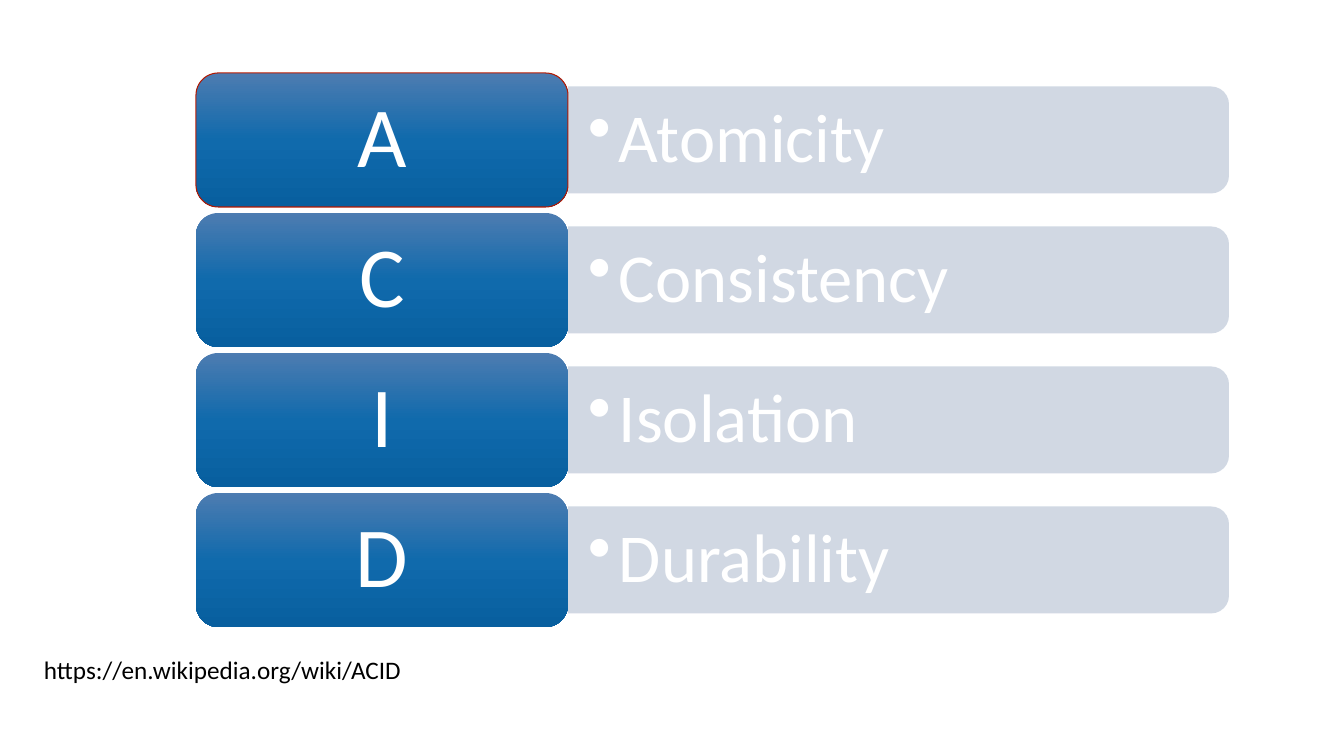
from lxml import etree
from pptx import Presentation
from pptx.dml.color import RGBColor
from pptx.enum.shapes import MSO_SHAPE
from pptx.enum.text import MSO_ANCHOR, PP_ALIGN
from pptx.oxml import parse_xml
from pptx.oxml.ns import nsdecls, qn
from pptx.util import Pt

# Content
TERMS = [("A", "Atomicity"), ("C", "Consistency"), ("I", "Isolation"), ("D", "Durability")]
LINK = "https://en.wikipedia.org/wiki/ACID"

# Style
FONT = "Calibri"
WHITE = RGBColor(0xFF, 0xFF, 0xFF)
BLACK = RGBColor(0, 0, 0)
PALE = RGBColor(0xCC, 0xD4, 0xE1)
RED = RGBColor(0xB4, 0x18, 0x00)
BLUES = [(0, RGBColor(0x4D, 0x7C, 0xB1)), (50, RGBColor(0x10, 0x6A, 0xAC)),
         (100, RGBColor(0x08, 0x5F, 0x9F))]
ROUND, TAB = MSO_SHAPE.ROUNDED_RECTANGLE, MSO_SHAPE.ROUND_2_SAME_RECTANGLE
MIDDLE, LEFT, CENTER = MSO_ANCHOR.MIDDLE, PP_ALIGN.LEFT, PP_ALIGN.CENTER

# Layout in px
CARD_X, CARD_Y, CARD_W, CARD_H = 196, 73, 372, 134
STEP = 140
BAR_W, BAR_H = 661, 107
WORD_W, WORD_H = 656, 97
INDENT = 31


def px(n):
    return round(n * 914400 / 100.8)


def fade(fill):
    for color in fill._xPr.iter(qn("a:srgbClr")):
        etree.SubElement(color, qn("a:alpha"), val="90000")


def blend(shape):
    stops = "".join(f'<a:gs pos="{at * 1000}"><a:srgbClr val="{color}"/></a:gs>'
                    for at, color in BLUES)
    grad = parse_xml(f'<a:gradFill {nsdecls("a")} rotWithShape="1"><a:gsLst>{stops}</a:gsLst>'
                     '<a:lin ang="5400000" scaled="0"/></a:gradFill>')
    shape._element.spPr.find(qn("a:prstGeom")).addnext(grad)


def write(shape, text, size, color, align=LEFT, inset=(10, 5), bullet=False):
    frame = shape.text_frame
    frame.text = text
    frame.vertical_anchor = MIDDLE
    frame.margin_left = frame.margin_right = px(inset[0])
    frame.margin_top = frame.margin_bottom = px(inset[1])
    para = frame.paragraphs[0]
    para.alignment = align
    if bullet:
        props = para._p.get_or_add_pPr()
        props.set("marL", str(px(INDENT)))
        props.set("indent", str(-px(INDENT)))
        etree.SubElement(props, qn("a:buChar"), char="•")
    para.line_spacing = 0.9
    font = para.runs[0].font
    font.name, font.size, font.color.rgb = FONT, Pt(size), color


def add_shape(kind, x, y, w, h):
    shape = shapes.add_shape(kind, px(x), px(y), px(w), px(h))
    shape.shadow.inherit = False
    shape.line.fill.background()
    return shape


deck = Presentation()
deck.slide_width, deck.slide_height = px(1344), px(756)
shapes = deck.slides.add_slide(deck.slide_layouts[6]).shapes

# Source link
link = shapes.add_textbox(px(34), px(651), px(382), px(40))
write(link, LINK, 18, BLACK)
link.text_frame.word_wrap = False

# One row per term: bar, word, letter card
for row, (letter, word) in enumerate(TERMS):
    top = CARD_Y + row * STEP
    mid = top + CARD_H / 2
    edge = CARD_X + CARD_W

    # The bar is a tab turned so that its round end points right
    bar = add_shape(TAB, edge + (BAR_W - BAR_H) / 2, mid - BAR_W / 2, BAR_H, BAR_W)
    bar.rotation = 90
    bar.fill.solid()
    bar.fill.fore_color.rgb = PALE
    fade(bar.fill)

    label = shapes.add_textbox(px(edge), px(mid - WORD_H / 2), px(WORD_W), px(WORD_H))
    label.text_frame.word_wrap = True
    write(label, word, 49, WHITE, inset=(20, 10), bullet=True)

    card = add_shape(ROUND, CARD_X, top, CARD_W, CARD_H)
    blend(card)
    write(card, letter, 61, WHITE, CENTER, inset=(32, 20))
    if row == 0:
        card.line.color.rgb = RED
        card.line.width = Pt(0.75)

deck.save("out.pptx")
